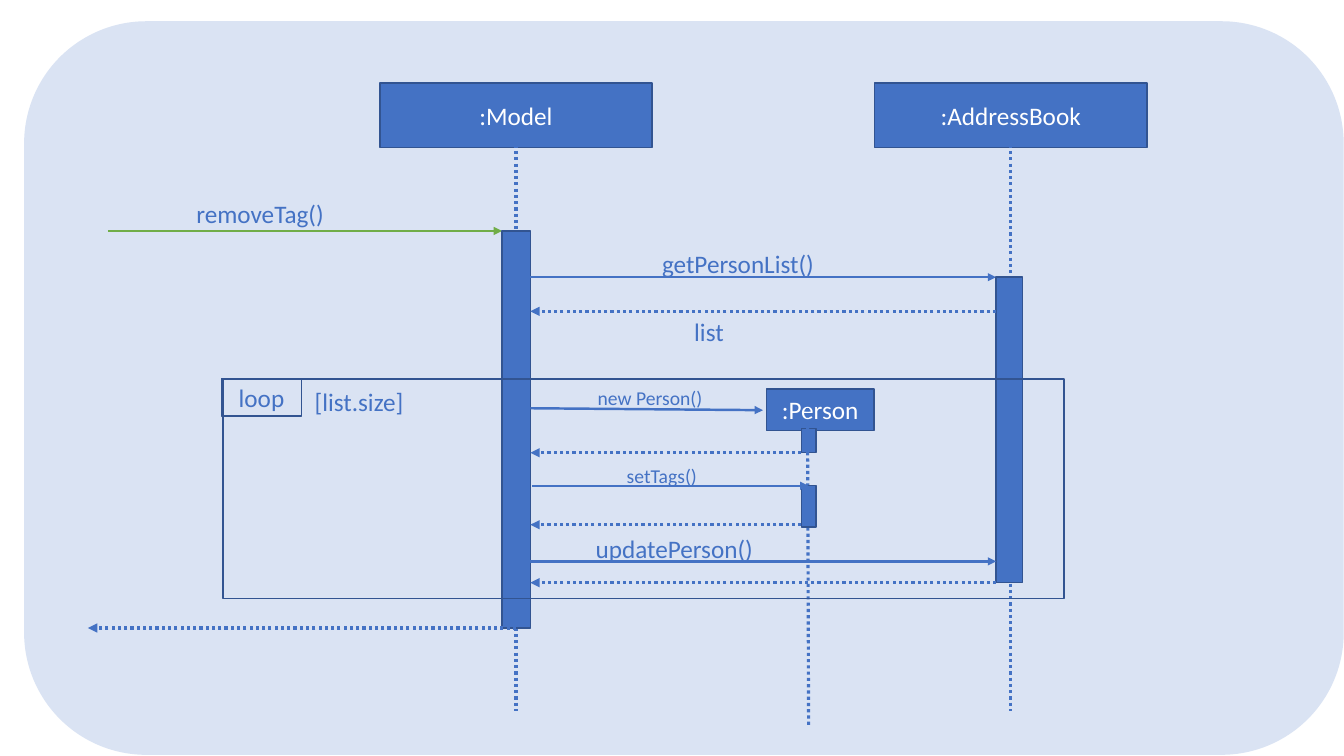
import dataclasses

import lxml.etree
import pptx
import pptx.dml.color
import pptx.enum.dml
import pptx.enum.shapes
import pptx.enum.text
import pptx.oxml.ns
import pptx.util

Pt = pptx.util.Pt
SHAPES = pptx.enum.shapes.MSO_SHAPE
ALIGN = pptx.enum.text.PP_ALIGN


@dataclasses.dataclass(frozen=True)
class Theme:
    font: str = "Calibri"
    panel: str = "DAE3F3"
    blue: str = "4472C4"
    outline: str = "325491"
    green: str = "70AD47"
    white: str = "FFFFFF"
    body: float = 18
    small: float = 14
    outline_width: float = 1
    call_width: float = 1.75
    dotted_width: float = 2.25


def rgb(value):
    return pptx.dml.color.RGBColor.from_string(value)


def set_all(target, values):
    for name, value in values.items():
        setattr(target, name, value)


class SequenceDiagram:
    def __init__(self, slide, theme):
        self.shapes = slide.shapes
        self.theme = theme

    def add_text(self, frame, text, color, size, align):
        para = frame.paragraphs[0]
        para.alignment = align
        span = para.add_run()
        span.text = text
        set_all(span.font, {"name": self.theme.font, "size": Pt(size)})
        span.font.color.rgb = rgb(color)

    def box(self, left, top, width, height, fill=None, outline=None,
            text="", color=None, kind=SHAPES.RECTANGLE):
        shape = self.shapes.add_shape(kind, Pt(left), Pt(top), Pt(width), Pt(height))
        shape.shadow.inherit = False
        if fill:
            shape.fill.solid()
            shape.fill.fore_color.rgb = rgb(fill)
        else:
            shape.fill.background()
        if outline:
            shape.line.color.rgb = rgb(outline)
            shape.line.width = Pt(self.theme.outline_width)
        else:
            shape.line.fill.background()
        if text:
            shape.text_frame.vertical_anchor = pptx.enum.text.MSO_ANCHOR.MIDDLE
            self.add_text(shape.text_frame, text, color, self.theme.body, ALIGN.CENTER)

    def block(self, left, top, width, height, text=""):
        """Solid participant header or activation bar."""
        self.box(left, top, width, height, self.theme.blue, self.theme.outline,
                 text, self.theme.white)

    def label(self, left, top, width, text, size):
        text_box = self.shapes.add_textbox(Pt(left), Pt(top), Pt(width), Pt(size * 1.2 + 7.2))
        set_all(text_box.text_frame, {
            "word_wrap": True,
            "auto_size": pptx.enum.text.MSO_AUTO_SIZE.SHAPE_TO_FIT_TEXT,
        })
        self.add_text(text_box.text_frame, text, self.theme.blue, size, ALIGN.LEFT)

    def line(self, start, end, color=None, dotted=False, arrow=True):
        link = self.shapes.add_connector(
            pptx.enum.shapes.MSO_CONNECTOR.STRAIGHT,
            *(Pt(value) for value in (*start, *end)))
        link.line.color.rgb = rgb(color or self.theme.blue)
        link.line.width = Pt(self.theme.dotted_width if dotted else self.theme.call_width)
        if dotted:
            link.line.dash_style = pptx.enum.dml.MSO_LINE.ROUND_DOT
        properties = link._element.spPr
        qn = pptx.oxml.ns.qn
        if arrow:
            lxml.etree.SubElement(properties.find(qn("a:ln")), qn("a:tailEnd"), type="triangle")
        lxml.etree.SubElement(properties, qn("a:effectLst"))

    def lifeline(self, start, end):
        self.line(start, end, dotted=True, arrow=False)

    def reply(self, start_x, end_x, y):
        self.line((start_x, y), (end_x, y), dotted=True)

    def call(self, start_x, end_x, y, color=None):
        self.line((start_x, y), (end_x, y), color)


def main():
    deck = pptx.Presentation()
    set_all(deck, {"slide_width": Pt(960), "slide_height": Pt(540)})
    theme = Theme()
    diagram = SequenceDiagram(deck.slides.add_slide(deck.slide_layouts[6]), theme)

    model_x, book_x = 368.6, 722
    model_left, model_right = 358.6, 378.8
    book_left = 711.5
    person_left = 572.4
    model_top, model_end = 165, 448.6
    book_top, book_end = 198, 416.2

    diagram.box(17.2, 15.2, 942.6, 524, theme.panel, kind=SHAPES.ROUNDED_RECTANGLE)
    for center, name in ((model_x, ":Model"), (book_x, ":AddressBook")):
        diagram.block(center - 97.2, 59.2, 194.4, 46.2, name)
        diagram.lifeline((center, 94.4), (center, 508))

    diagram.call(77, model_left, model_top, theme.green)
    diagram.block(model_left, model_top, model_right - model_left, model_end - model_top)
    diagram.call(model_right, book_left, book_top)
    diagram.block(book_left, book_top, 18.7, book_end - book_top)
    diagram.reply(book_left, model_right, 222.4)
    diagram.call(model_right, book_left, 401)
    diagram.reply(book_left, model_right, book_end)

    diagram.block(547.4, 277.8, 77, 29.6, ":Person")
    diagram.block(person_left, 306.2, 10.4, 17.2)
    diagram.line((model_right, 291.6), (545, 293))
    diagram.reply(person_left, model_right, 323.4)
    diagram.lifeline((576.8, 291.6), (577.6, 519))
    diagram.block(person_left, 347, 10.4, 29.4)
    diagram.call(380, 577.4, 347)
    diagram.reply(person_left, model_right, 374.8)
    diagram.reply(model_x, 62.8, model_end)

    diagram.box(159.2, 270.6, 601, 157, outline=theme.outline)
    diagram.box(158.4, 270.6, 56.8, 26.6, outline=theme.outline,
                text="loop", color=theme.blue)

    for left, top, width, text, size in (
        (133.2, 137.8, 138, "removeTag()", theme.body),
        (465.8, 173.8, 188.6, "getPersonList()", theme.body),
        (488.8, 222.4, 146, "list", theme.body),
        (217.6, 272.4, 99.4, "[list.size]", theme.body),
        (419.8, 272.4, 89.4, "new Person()", theme.small),
        (440.6, 327.8, 83.6, "setTags()", theme.small),
        (418.4, 377.4, 137.6, "updatePerson()", theme.body),
    ):
        diagram.label(left, top, width, text, size)

    deck.save("out.pptx")


if __name__ == "__main__":
    main()
